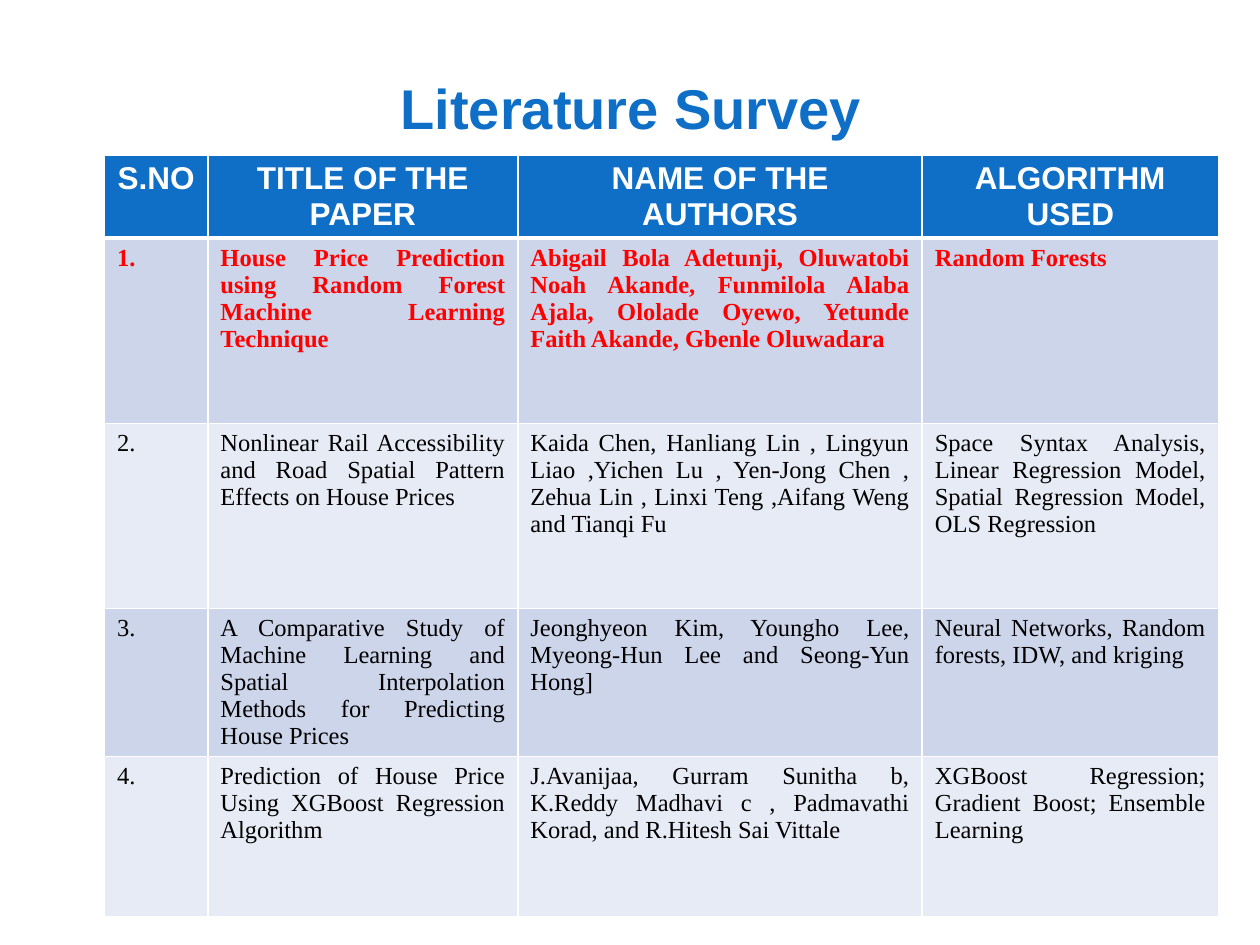
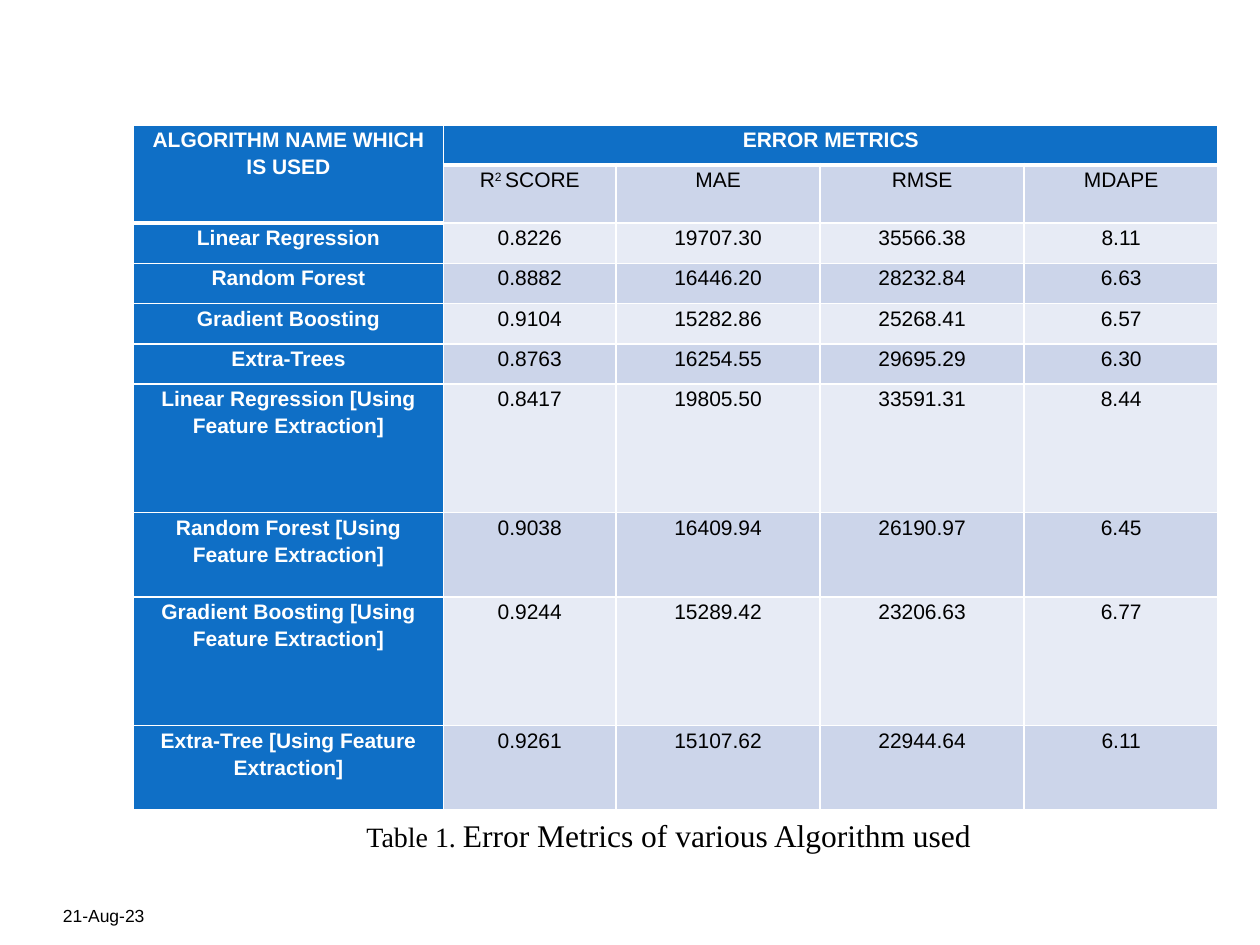
from pptx import Presentation
from pptx.dml.color import RGBColor
from pptx.enum.text import MSO_ANCHOR, MSO_AUTO_SIZE, PP_ALIGN
from pptx.oxml.ns import qn
from pptx.util import Inches, Pt
from lxml import etree

LEFT, MID, JUST = PP_ALIGN.LEFT, PP_ALIGN.CENTER, PP_ALIGN.JUSTIFY
BASE, TOP = MSO_ANCHOR.BOTTOM, MSO_ANCHOR.TOP
FIXED = MSO_AUTO_SIZE.NONE
BLUE, WHITE, BLACK, RED = "0F6FC6", "FFFFFF", "000000", "FF0000"
BANDS = ("E7EBF5", "CCD5EA")
SANS, SERIF = "Arial", "Times New Roman"
COLS, ROWS = 100, 75
TITLE_ONLY, BLANK = 5, 6


def tint(code):
    return RGBColor.from_string(code)


class Deck:
    def __init__(self):
        self.prs = Presentation()
        self.prs.slide_width = Inches(10)
        self.prs.slide_height = Inches(7.5)
        self.slide = None

    def add(self, layout):
        self.slide = self.prs.slides.add_slide(self.prs.slide_layouts[layout])

    def x(self, cols):
        return round(self.prs.slide_width * cols / COLS)

    def y(self, rows):
        return round(self.prs.slide_height * rows / ROWS)

    def box(self, left, top, width, height):
        return self.x(left), self.y(top), self.x(width), self.y(height)

    def put(self, frame, runs, size, face, color, bold=False, align=LEFT):
        para = frame.paragraphs[0]
        para.alignment = align
        font = para.font
        font.size, font.name, font.bold = Pt(size), face, bold
        font.color.rgb = tint(color)
        for part in [runs] if isinstance(runs, str) else runs:
            text, look = (part, {}) if isinstance(part, str) else part
            run = para.add_run()
            run.text = text
            if "size" in look:
                run.font.size = Pt(look["size"])
            if "raise" in look:
                props = run._r.get_or_add_rPr()
                props.set("baseline", str(look["raise"] * 1000))
        return para

    def title(self, text, *place):
        shape = self.slide.shapes.title
        shape.left, shape.top, shape.width, shape.height = self.box(*place)
        frame = shape.text_frame
        frame.auto_size = FIXED
        frame.vertical_anchor = BASE
        frame.margin_left = frame.margin_right = frame.margin_bottom = 0
        self.put(frame, text, 32, SANS, BLUE, True, MID)

    def label(self, runs, size, face, place, anchor=TOP, inset=True):
        frame = self.slide.shapes.add_textbox(*self.box(*place)).text_frame
        frame.word_wrap = True
        frame.vertical_anchor = anchor
        if not inset:
            frame.margin_left = frame.margin_right = 0
            frame.margin_top = frame.margin_bottom = 0
        self.put(frame, runs, size, face, BLACK)

    def edge(self, cell, first, head):
        props = cell._tc.get_or_add_tcPr()
        sides = {"lnL": 1, "lnR": 1}
        if first:
            sides["lnT"] = 1
        sides["lnB"] = 3 if head else 1
        for spot, (side, width) in enumerate(sides.items()):
            line = etree.Element(qn("a:" + side), w=str(int(Pt(width))))
            fill = etree.SubElement(line, qn("a:solidFill"))
            etree.SubElement(fill, qn("a:srgbClr"), val=WHITE)
            props.insert(spot, line)

    def table(self, left, top, widths, heights, data, style, merges=()):
        place = self.box(left, top, sum(widths), sum(heights))
        grid = self.slide.shapes.add_table(
            len(heights), len(widths), *place).table
        for col, width in zip(grid.columns, widths):
            col.width = self.x(width)
        for row, height in zip(grid.rows, heights):
            row.height = self.y(height)
        for start, end in merges:
            grid.cell(*start).merge(grid.cell(*end))
        for r, row in enumerate(data):
            for c, text in enumerate(row):
                cell = grid.cell(r, c)
                look = style(r, c)
                cell.fill.solid()
                cell.fill.fore_color.rgb = tint(
                    BLUE if look["head"] else BANDS[r % 2])
                self.edge(cell, r == 0, look["head"] and r < look["top"])
                if look["tight"]:
                    cell.margin_left = cell.margin_right = self.x(0.7)
                    cell.margin_top = cell.margin_bottom = 0
                if text:
                    para = self.put(cell.text_frame, text, *look["font"])
                    if look["tight"]:
                        para.line_spacing = 1.15

    def save(self):
        self.prs.save("out.pptx")


def survey(r, c):
    if r == 0:
        font = (18, SANS, WHITE, True, MID)
    elif r == 1:
        font = (14, SERIF, RED, True, JUST)
    else:
        font = (14, SERIF, BLACK, False, JUST)
    return {"head": r == 0, "top": 1, "tight": False, "font": font}


def metric(r, c):
    head = r == 0 or c == 0
    font = (12, SANS, WHITE if head else BLACK, head, MID)
    return {"head": head, "top": 2, "tight": True, "font": font}


PAPERS = [
    ("S.NO", "TITLE OF THE PAPER", "NAME OF THE AUTHORS", "ALGORITHM USED"),
    ("1.",
     "House Price Prediction using Random Forest Machine Learning Technique",
     "Abigail Bola Adetunji, Oluwatobi Noah Akande, Funmilola Alaba Ajala, "
     "Ololade Oyewo, Yetunde Faith Akande, Gbenle Oluwadara",
     "Random Forests"),
    ("2.",
     "Nonlinear Rail Accessibility and Road Spatial Pattern Effects on "
     "House Prices",
     "Kaida Chen, Hanliang Lin , Lingyun Liao ,Yichen Lu , Yen-Jong Chen , "
     "Zehua Lin , Linxi Teng ,Aifang Weng and Tianqi Fu",
     "Space Syntax Analysis, Linear Regression Model, Spatial Regression "
     "Model, OLS Regression"),
    ("3.",
     "A Comparative Study of Machine Learning and Spatial Interpolation "
     "Methods for Predicting House Prices",
     "Jeonghyeon Kim, Youngho Lee, Myeong-Hun Lee and Seong-Yun Hong]",
     "Neural Networks, Random forests, IDW, and kriging"),
    ("4.",
     "Prediction of House Price Using XGBoost Regression Algorithm",
     "J.Avanijaa, Gurram Sunitha b, K.Reddy Madhavi c , Padmavathi Korad, "
     "and R.Hitesh Sai Vittale",
     "XGBoost Regression; Gradient Boost; Ensemble Learning"),
]

EXTRA = " [Using Feature Extraction]"
SCORES = [
    ("ALGORITHM NAME WHICH IS USED", "ERROR METRICS", "", "", ""),
    ("", ["R", ("2 ", {"raise": 30}), "SCORE"], "MAE", "RMSE", "MDAPE"),
    ("Linear Regression", "0.8226", "19707.30", "35566.38", "8.11"),
    ("Random Forest", "0.8882", "16446.20", "28232.84", "6.63"),
    ("Gradient Boosting", "0.9104", "15282.86", "25268.41", "6.57"),
    ("Extra-Trees", "0.8763", "16254.55", "29695.29", "6.30"),
    ("Linear Regression" + EXTRA, "0.8417", "19805.50", "33591.31", "8.44"),
    ("Random Forest" + EXTRA, "0.9038", "16409.94", "26190.97", "6.45"),
    ("Gradient Boosting" + EXTRA, "0.9244", "15289.42", "23206.63", "6.77"),
    ("Extra-Tree" + EXTRA, "0.9261", "15107.62", "22944.64", "6.11"),
]

deck = Deck()

deck.add(TITLE_ONLY)
deck.title("Literature Survey", 5.1, 3.3, 90, 7.9)
deck.table(8.3, 12.3, [8.2, 24.6, 32.1, 23.5], [6.5, 14.7, 14.7, 11.7, 12.7],
           PAPERS, survey)

deck.add(BLANK)
deck.label("21-Aug-23", 10, SANS, (5, 69.5, 23.3, 4), BASE, False)
deck.table(10.6, 9.9, [24.6, 13.7, 16.2, 16.2, 15.4],
           [3.2, 4.3] + [3.2] * 4 + [10.2, 6.7] * 2, SCORES, metric,
           [((0, 0), (1, 0)), ((0, 1), (0, 4))])
deck.label(["Table 1. ", ("Error Metrics of various Algorithm used",
                          {"size": 18})],
           16, SERIF, (28.1, 64.3, 52.8, 6.7))

deck.save()
